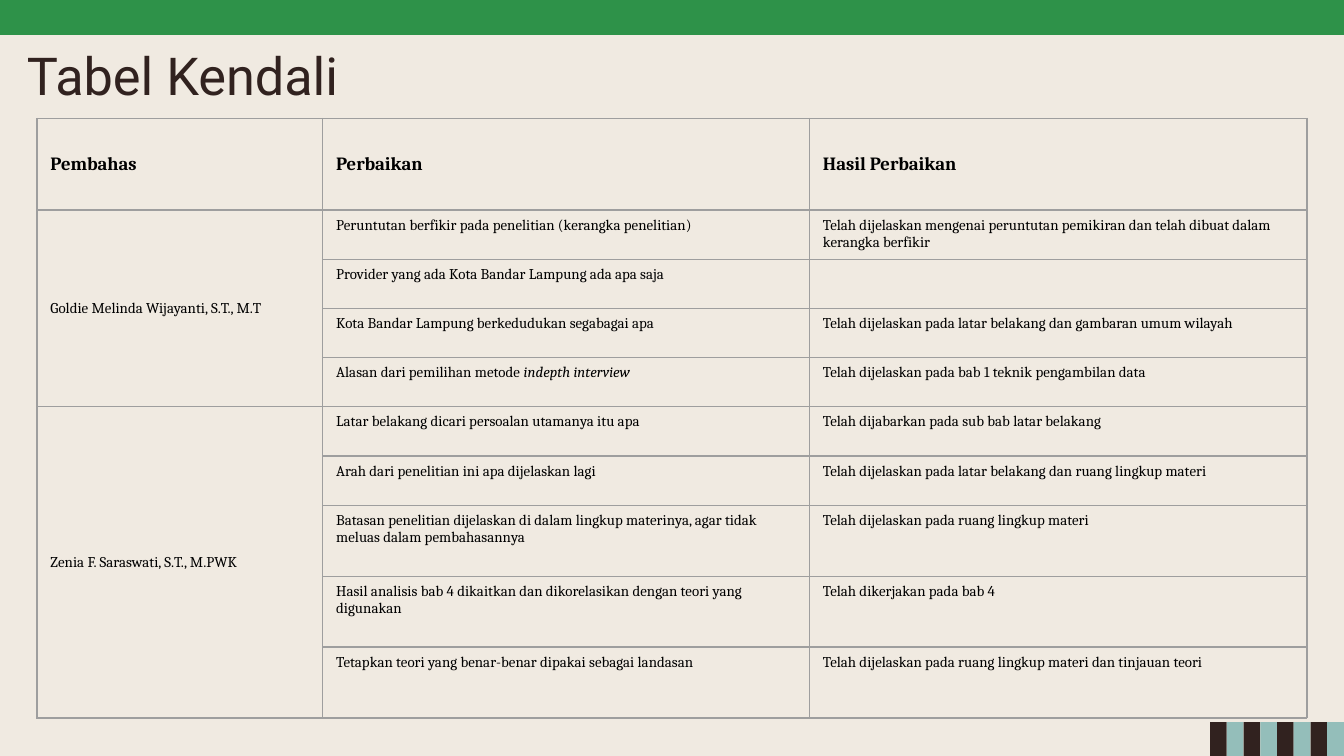
"""Build the "Tabel Kendali" slide: a table of reviewer remarks and their follow-up."""
import pptx
import pptx.dml.color
import pptx.enum.shapes
import pptx.enum.text
import pptx.oxml
import pptx.oxml.ns
import pptx.util
from pptx.util import Cm

THEME = {
    "background": "F0EAE1", "bar": "2E9249", "dark": "31221F", "teal": "94BEBA",
    "text": "000000", "border": "9E9E9E", "border_width": 0.75,
    "title_font": "Roboto", "table_font": "Cambria",
    "title_size": 28, "header_size": 10, "body_size": 8,
}
TITLE = "Tabel Kendali"
HEADERS = ["Pembahas", "Perbaikan", "Hasil Perbaikan"]
REVIEWS = [
    ("Goldie Melinda Wijayanti, S.T., M.T", [
        ("Peruntutan berfikir pada penelitian (kerangka penelitian)",
         "Telah dijelaskan mengenai peruntutan pemikiran dan telah dibuat dalam kerangka berfikir"),
        ("Provider yang ada Kota Bandar Lampung ada apa saja", ""),
        ("Kota Bandar Lampung berkedudukan segabagai apa",
         "Telah dijelaskan pada latar belakang dan gambaran umum wilayah"),
        ("Alasan dari pemilihan metode *indepth interview",
         "Telah dijelaskan pada bab 1 teknik pengambilan data"),
    ]),
    ("Zenia F. Saraswati, S.T., M.PWK", [
        ("Latar belakang dicari persoalan utamanya itu apa",
         "Telah dijabarkan pada sub bab latar belakang"),
        ("Arah dari penelitian ini apa dijelaskan lagi",
         "Telah dijelaskan pada latar belakang dan ruang lingkup materi"),
        ("Batasan penelitian dijelaskan di dalam lingkup materinya, agar tidak meluas dalam pembahasannya",
         "Telah dijelaskan pada ruang lingkup materi"),
        ("Hasil analisis bab 4 dikaitkan dan dikorelasikan dengan teori yang digunakan",
         "Telah dikerjakan pada bab 4"),
        ("Tetapkan teori yang benar-benar dipakai sebagai landasan",
         "Telah dijelaskan pada ruang lingkup materi dan tinjauan teori"),
    ]),
]
COLUMN_WIDTHS = [5.4, 9.2, 9.4]
ROW_HEIGHTS = [1.73] + [0.93] * 6 + [1.34] * 3
STRIPE_COUNT = 8


def color(name):
    """Return a theme colour as an RGB value."""
    return pptx.dml.color.RGBColor.from_string(THEME[name])


def write(frame, text, font="table_font", size="body_size", fill="text", bold=False):
    """Write one paragraph; the part after an asterisk is italic."""
    paragraph = frame.paragraphs[0]
    paragraph.alignment = pptx.enum.text.PP_ALIGN.LEFT
    for index, part in enumerate(text.split("*") if text else []):
        run = paragraph.add_run()
        run.text = part
        run.font.name = THEME[font]
        run.font.size = pptx.util.Pt(THEME[size])
        run.font.color.rgb = color(fill)
        run.font.bold = bold
        run.font.italic = index == 1
    paragraph._p.get_or_add_endParaRPr().set("sz", str(THEME[size] * 100))


def add_block(slide, left, top, width, height, fill):
    """Add a plain filled rectangle."""
    shape = slide.shapes.add_shape(
        pptx.enum.shapes.MSO_SHAPE.RECTANGLE, Cm(left), Cm(top), Cm(width), Cm(height))
    shape.shadow.inherit = False
    shape.fill.solid()
    shape.fill.fore_color.rgb = color(fill)
    shape.line.fill.background()


def add_borders(cell):
    """Draw a thin line on all four sides of a cell."""
    properties = cell._tc.get_or_add_tcPr()
    width = pptx.util.Pt(THEME["border_width"])
    for index, side in enumerate(("lnL", "lnR", "lnT", "lnB")):
        properties.insert(index, pptx.oxml.parse_xml(
            f'<a:{side} {pptx.oxml.ns.nsdecls("a")} w="{int(width)}"><a:solidFill>'
            f'<a:srgbClr val="{THEME["border"]}"/></a:solidFill></a:{side}>'))


def add_review_table(slide):
    """Add the table, with each reviewer spanning the rows of their remarks."""
    table = slide.shapes.add_table(
        len(ROW_HEIGHTS), len(COLUMN_WIDTHS), Cm(0.7), Cm(2.24),
        Cm(sum(COLUMN_WIDTHS)), Cm(sum(ROW_HEIGHTS))).table
    table.first_row = table.horz_banding = False
    for column, width in zip(table.columns, COLUMN_WIDTHS):
        column.width = Cm(width)
    for row, height in zip(table.rows, ROW_HEIGHTS):
        row.height = Cm(height)

    rows = [HEADERS]
    for reviewer, remarks in REVIEWS:
        first = len(rows)
        rows += [("" if index else reviewer, *remark) for index, remark in enumerate(remarks)]
        table.cell(first, 0).merge(table.cell(len(rows) - 1, 0))
    for row_index, texts in enumerate(rows):
        header = row_index == 0
        for column_index, text in enumerate(texts):
            cell = table.cell(row_index, column_index)
            cell.fill.background()
            add_borders(cell)
            middle = header or column_index == 0
            anchors = pptx.enum.text.MSO_ANCHOR
            cell.vertical_anchor = anchors.MIDDLE if middle else anchors.TOP
            write(cell.text_frame, text, bold=header,
                  size="header_size" if header else "body_size")


def main():
    """Build and save the presentation."""
    presentation = pptx.Presentation()
    presentation.slide_width, presentation.slide_height = Cm(25.4), Cm(14.29)
    slide = presentation.slides.add_slide(presentation.slide_layouts[5])
    slide.background.fill.solid()
    slide.background.fill.fore_color.rgb = color("background")

    stripe_width = (25.4 - 22.87) / STRIPE_COUNT
    for index in range(STRIPE_COUNT):
        add_block(slide, 22.87 + index * stripe_width, 13.65, stripe_width, 0.64,
                  "teal" if index % 2 else "dark")
    add_block(slide, 0, 0, 25.4, 0.66, "bar")

    title = slide.shapes.title
    title.left, title.top, title.width, title.height = Cm(0.26), Cm(0.56), Cm(21.44), Cm(1.6)
    frame = title.text_frame
    frame.auto_size = pptx.enum.text.MSO_AUTO_SIZE.NONE
    frame.vertical_anchor = pptx.enum.text.MSO_ANCHOR.TOP
    frame.margin_left = frame.margin_right = frame.margin_top = frame.margin_bottom = Cm(0.25)
    write(frame, TITLE, font="title_font", size="title_size", fill="dark")

    add_review_table(slide)
    presentation.save("out.pptx")


if __name__ == "__main__":
    main()
